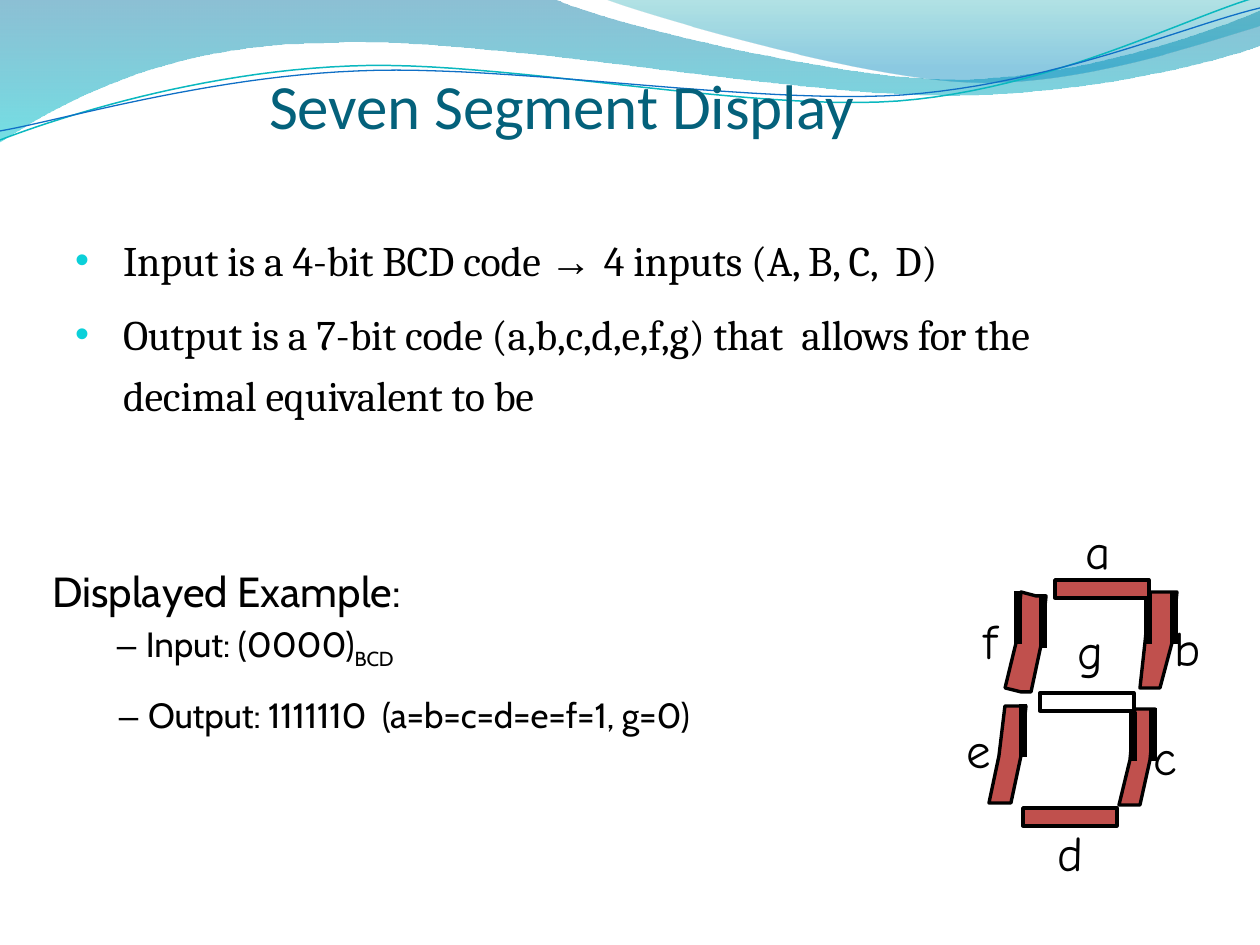
import lxml.etree
import pptx
import pptx.dml.color
import pptx.enum.shapes
import pptx.enum.text
import pptx.oxml.ns
import pptx.util
from dataclasses import dataclass

EMU_PER_PX = 914400 / 126
CURVE_STEPS = 24


@dataclass(frozen=True)
class Theme:
    black: str = "000000"
    white: str = "FFFFFF"
    title: str = "04617B"
    bullet: str = "0BD0D9"
    segment: str = "C0504D"
    teal_line: str = "0AB8BF"
    blue_line: str = "0F6FC6"
    title_size: int = 36
    label_size: int = 28
    body_size: int = 24
    detail_size: int = 20
    outline: float = 1.92
    bar: float = 4.92


THEME = Theme()

UPPER_WAVE = [
    [(0, -1)], [(554, -1)],
    [(600, 21), (837, 79), (955, 79)], [(1075, 79), (1207, 33), (1260, 11)],
    [(1261, 45)], [(1239, 55), (1096, 96), (940, 95)],
    [(784, 95), (481, 35), (324, 43)], [(163, 44), (58, 105), (-1, 142)],
]
RIGHT_WAVE = [
    [(604, -1)], [(641, 14), (859, 78), (969, 82)],
    [(1079, 87), (1211, 40), (1260, 26)], [(1260, 0)],
]
TEAL_WAVE = [
    [(0, 140)], [(60, 117), (199, 72), (349, 66)],
    [(498, 59), (747, 112), (898, 101)], [(1050, 89), (1182, 19), (1257, -3)],
]
BLUE_WAVE = [
    [(0, 131)], [(59, 121), (207, 77), (357, 71)],
    [(508, 64), (752, 105), (903, 95)], [(1053, 84), (1185, 26), (1260, 8)],
]

SLANTED_SEGMENTS = [
    [(1021, 592), (1016, 643), (1005, 688), (1021, 692), (1031, 692),
     (1041, 645), (1046, 596), (1036, 596)],
    [(1177, 592), (1150, 592), (1145, 643), (1140, 688), (1160, 688), (1172, 643)],
    [(1155, 709), (1135, 709), (1130, 760), (1119, 805), (1140, 805), (1150, 760)],
    [(1026, 706), (1005, 706), (999, 756), (989, 803), (1011, 803), (1021, 756)],
]
SEGMENT_BARS = [
    (1043, 595, 648), (1018, 591, 644), (1174, 591, 644),
    (1148, 592, 644), (1153, 708, 761), (1133, 712, 761), (1023, 704, 757),
]
FLAT_SEGMENTS = [
    (1040, 693, THEME.white), (1023, 808, THEME.segment), (1055, 580, THEME.segment),
]
SEGMENT_LABELS = [
    ("a", 1085, 520), ("b", 1174, 617), ("c", 1153, 726), ("d", 1056, 822),
    ("e", 966, 719), ("f", 983, 610), ("g", 1076, 620),
]


def px(value):
    return round(value * EMU_PER_PX)


def color(value):
    return pptx.dml.color.RGBColor.from_string(value)


def flatten(steps):
    points = [steps[0][0]]
    for step in steps[1:]:
        if len(step) == 1:
            points.append(step[0])
            continue
        controls = [points[-1], *step]
        for index in range(1, CURVE_STEPS + 1):
            t = index / CURVE_STEPS
            weights = ((1 - t) ** 3, 3 * t * (1 - t) ** 2, 3 * t * t * (1 - t), t ** 3)
            points.append(tuple(
                sum(weight * point[axis] for weight, point in zip(weights, controls))
                for axis in (0, 1)))
    return points


def add_outline(slide, points, closed):
    start, *rest = [(px(x), px(y)) for x, y in points]
    builder = slide.shapes.build_freeform(*start, scale=1.0)
    builder.add_line_segments(rest, close=closed)
    shape = builder.convert_to_shape()
    shape.shadow.inherit = False
    return shape


def set_line(line, value, width):
    line.color.rgb = color(value)
    line.width = pptx.util.Pt(width)


def add_gradient_wave(slide, steps, stops):
    shape = add_outline(slide, flatten(steps), True)
    shape.line.fill.background()
    shape.fill.gradient()
    shape.fill.gradient_angle = 270
    for stop, (position, value, opacity) in zip(shape.fill.gradient_stops, stops):
        stop.position = position
        stop.color.rgb = color(value)
    tag = pptx.oxml.ns.qn("a:srgbClr")
    for element, (_, _, opacity) in zip(shape._element.spPr.iter(tag), stops):
        alpha = lxml.etree.SubElement(element, pptx.oxml.ns.qn("a:alpha"))
        alpha.set("val", str(opacity * 1000))


def add_line_wave(slide, steps, value, width):
    shape = add_outline(slide, flatten(steps), False)
    shape.fill.background()
    set_line(shape.line, value, width)


def paint_segment(shape, value):
    shape.fill.solid()
    shape.fill.fore_color.rgb = color(value)
    set_line(shape.line, THEME.black, THEME.outline)


def add_flat_segment(slide, left, top, value):
    shape = slide.shapes.add_shape(
        pptx.enum.shapes.MSO_SHAPE.RECTANGLE, px(left), px(top), px(94), px(18))
    shape.shadow.inherit = False
    paint_segment(shape, value)


def add_bar(slide, x, top, bottom):
    connector = slide.shapes.add_connector(
        pptx.enum.shapes.MSO_CONNECTOR.STRAIGHT, px(x), px(top), px(x), px(bottom))
    set_line(connector.line, THEME.black, THEME.bar)
    lxml.etree.SubElement(connector._element.spPr, pptx.oxml.ns.qn("a:effectLst"))


def add_text_box(slide, left, top, width, height, inset_top=1, inset_right=0):
    frame = slide.shapes.add_textbox(px(left), px(top), px(width), px(height)).text_frame
    frame.word_wrap = True
    frame.margin_left = frame.margin_bottom = 0
    frame.margin_top, frame.margin_right = px(inset_top), px(inset_right)
    return frame


def add_run(paragraph, text, font, size, spacing=0, value=THEME.black, baseline=0):
    run = paragraph.add_run()
    run.text = text
    run.font.name = font
    run.font.size = pptx.util.Pt(size)
    run.font.color.rgb = color(value)
    properties = run._r.get_or_add_rPr()
    properties.set("spc", str(round(spacing * 100)))
    if baseline:
        properties.set("baseline", str(baseline * 1000))


def format_paragraph(paragraph, margin=0, indent=0, before=0, line=None):
    properties = paragraph._p.get_or_add_pPr()
    properties.set("marL", str(px(margin)))
    properties.set("indent", str(px(indent)))
    paragraph.space_before = pptx.util.Pt(before)
    if line:
        paragraph.line_spacing = pptx.util.Pt(line)


def add_bullet(paragraph):
    properties = paragraph._p.get_or_add_pPr()
    bullet_color = lxml.etree.SubElement(properties, pptx.oxml.ns.qn("a:buClr"))
    lxml.etree.SubElement(bullet_color, pptx.oxml.ns.qn("a:srgbClr"), val=THEME.bullet)
    lxml.etree.SubElement(properties, pptx.oxml.ns.qn("a:buSzPct"), val="95000")
    lxml.etree.SubElement(properties, pptx.oxml.ns.qn("a:buFont"), typeface="Arial")
    lxml.etree.SubElement(properties, pptx.oxml.ns.qn("a:buChar"), char="•")


def add_body(slide):
    frame = add_text_box(slide, 74, 215, 1113, 202, 10, 30)
    first, second = frame.paragraphs[0], frame.add_paragraph()
    format_paragraph(first, 49, -48, 0, 34.4)
    format_paragraph(second, 49, -48, 7.6, 34.6)
    add_bullet(first)
    add_bullet(second)
    for paragraph, text, font, spacing in [
        (first, "Input is a 4-bit BCD code ", "Cambria", -0.1),
        (first, "→ ", "Arial", 0.1),
        (first, "4 inputs (A, B, C,  D)", "Cambria", -0.1),
        (second, "Output is a 7-bit code (a,b,c,d,e,f,g) that  allows ", "Cambria", -0.1),
        (second, "for ", "Cambria", -0.3),
        (second, "the decimal equivalent to be", "Cambria", -0.1),
    ]:
        add_run(paragraph, text, font, THEME.body_size, spacing)


def add_example(slide):
    frame = add_text_box(slide, 53, 557, 809, 174, 9)
    heading, given, result = frame.paragraphs[0], frame.add_paragraph(), frame.add_paragraph()
    format_paragraph(heading)
    format_paragraph(given, 64, 0, 3.5)
    format_paragraph(result, 105, -39, 7.1, 30.3)
    for text, spacing in [("Displ", -0.1), ("a", -0.7), ("y", -0.3), ("ed E", 0),
                          ("x", -0.6), ("ample:", 0)]:
        add_run(heading, text, "Cabin", THEME.body_size, spacing)
    for paragraph, text, font, spacing, baseline in [
        (given, "– ", "Arial", -0.1, 0),
        (given, "Input: ", "Cabin", -0.1, 0),
        (given, "(", "Cabin", -0.6, 0),
        (given, "0000)", "Cabin", -0.1, 0),
        (given, "BCD", "Cabin", -0.1, -25),
        (result, "– ", "Arial", -0.1, 0),
        (result, "Output: 1111110  (a=b=c=d=e=f=1, g=0)", "Cabin", -0.1, 0),
    ]:
        add_run(paragraph, text, font, THEME.detail_size, spacing, baseline=baseline)


def add_display(slide):
    for points in SLANTED_SEGMENTS:
        paint_segment(add_outline(slide, points, True), THEME.segment)
    for bar in SEGMENT_BARS:
        add_bar(slide, *bar)
    for segment in FLAT_SEGMENTS:
        add_flat_segment(slide, *segment)
    for letter, left, top in SEGMENT_LABELS:
        paragraph = add_text_box(slide, left, top, 33, 62).paragraphs[0]
        format_paragraph(paragraph, 1)
        add_run(paragraph, letter, "Comic Neue", THEME.label_size, -0.1)


def add_title(slide):
    frame = add_text_box(slide, 268, 64, 723, 78)
    frame.vertical_anchor = pptx.enum.text.MSO_ANCHOR.BOTTOM
    paragraph = frame.paragraphs[0]
    format_paragraph(paragraph, 1)
    add_run(paragraph, "Seven Segment Display", "Calibri", THEME.title_size, -0.1, THEME.title)


def main():
    presentation = pptx.Presentation()
    presentation.slide_width, presentation.slide_height = px(1260), px(945)
    slide = presentation.slides.add_slide(presentation.slide_layouts[6])
    add_gradient_wave(slide, UPPER_WAVE, [(0, "0074A1", 45), (1, "00C6CF", 55)])
    add_gradient_wave(slide, RIGHT_WAVE, [(0, "00A1A9", 30), (0.8, "008BBF", 45)])
    add_line_wave(slide, TEAL_WAVE, THEME.teal_line, 0.85)
    add_line_wave(slide, BLUE_WAVE, THEME.blue_line, 0.75)
    add_body(slide)
    add_example(slide)
    add_display(slide)
    add_title(slide)
    presentation.save("out.pptx")


if __name__ == "__main__":
    main()
